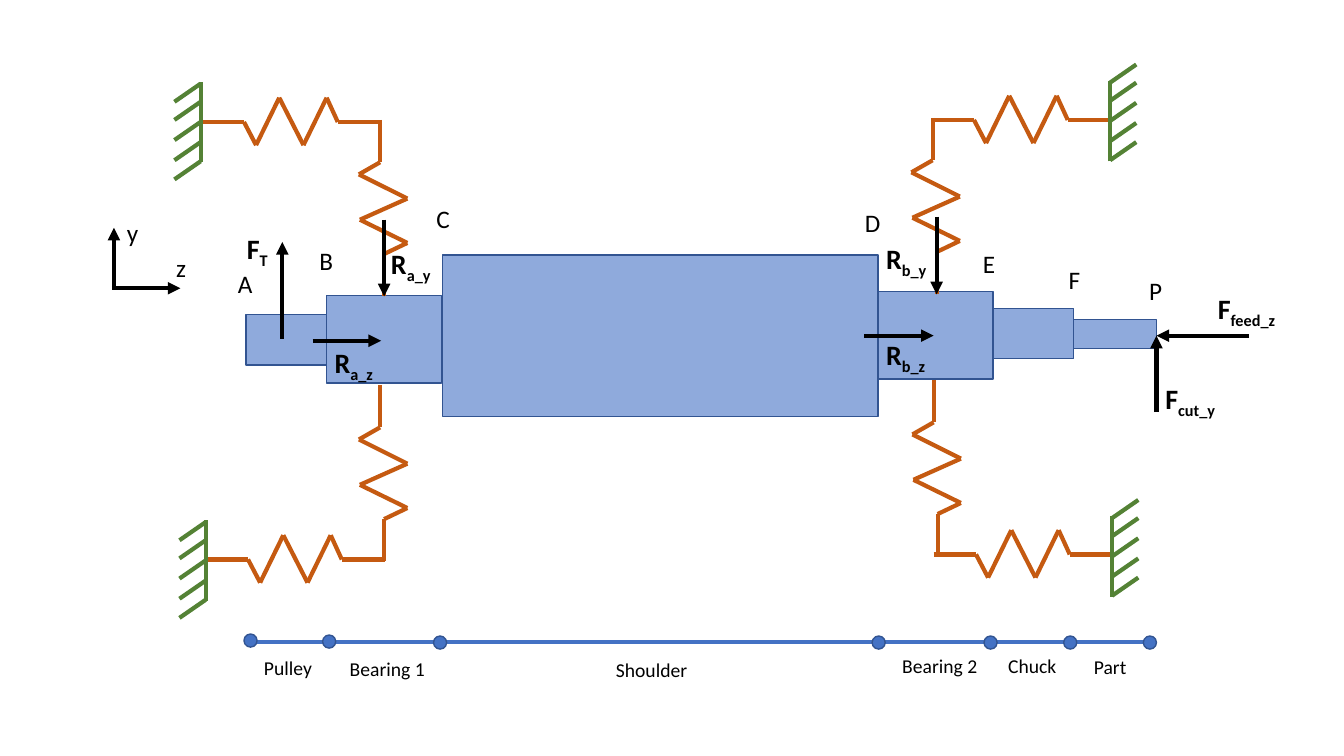
import dataclasses
import itertools

import pptx
import pptx.dml.color
import pptx.enum.shapes
import pptx.enum.text
import pptx.oxml.ns
import pptx.oxml.xmlchemy
import pptx.util


@dataclasses.dataclass(frozen=True)
class Theme:
    """Colours, font and sizes of the shaft diagram."""
    font: str = "Calibri"
    black: str = "000000"
    shaft: str = "8FAADC"
    edge: str = "325491"
    scale: str = "4472C4"
    spring: str = "C55A11"
    wall: str = "548235"
    point_size: int = 18
    section_size: int = 14
    force_size: int = 20
    thin: float = 1
    medium: float = 2.25
    thick: float = 3


THEME = Theme()
SHAPES = pptx.enum.shapes.MSO_SHAPE

SECTIONS = [
    (4.39, 2.53, 4.32, 1.6), (3.24, 2.93, 1.14, 0.87), (8.71, 2.89, 1.14, 0.87),
    (2.44, 3.12, 0.8, 0.5), (9.85, 3.06, 0.8, 0.5), (10.65, 3.17, 0.82, 0.29),
]
POINTS = [
    ("A", 2.26, 2.61, 0.35), ("B", 3.07, 2.38, 0.35), ("C", 4.23, 1.97, 0.35),
    ("D", 8.48, 2.01, 0.36), ("F", 10.5, 2.57, 0.32), ("E", 9.65, 2.41, 0.32),
    ("P", 11.3, 2.68, 0.33), ("y", 1.16, 2.11, 0.32), ("z", 1.65, 2.45, 0.3),
]
SCALE_DOTS = [(2.42, 6.29), (3.2, 6.3)] + [(x, 6.31) for x in (4.3, 8.65, 9.76, 10.55, 11.34)]
SECTION_NAMES = [
    ("Pulley", 2.52, 6.46, 0.74), ("Bearing 1", 3.37, 6.47, 1.03),
    ("Shoulder", 6.01, 6.48, 1.03), ("Bearing 2", 8.85, 6.44, 1.03),
    ("Chuck", 9.9, 6.44, 0.69), ("Part", 10.75, 6.45, 0.69),
]
FORCES = [
    ("R", "b_y", 8.69, 2.35), ("F", "T", 2.35, 2.25), ("R", "a_y", 3.78, 2.4),
    ("R", "a_z", 3.22, 3.38), ("R", "b_z", 8.69, 3.3), ("F", "feed_z", 11.98, 2.84),
    ("F", "cut_y", 11.46, 3.74),
]
ARROWS = [
    ((3.1, 3.38), (3.78, 3.38)), ((8.57, 3.33), (9.26, 3.33)),
    ((2.8, 3.36), (2.8, 2.4)), ((12.39, 3.33), (11.47, 3.33)),
    ((11.47, 4.09), (11.47, 3.33)), ((1.13, 2.86), (1.13, 2.26)),
    ((1.11, 2.86), (1.79, 2.86)), ((3.81, 2.18), (3.81, 2.94)),
    ((9.29, 2.15), (9.29, 2.92)),
]
RADIAL_COIL = [(0, 0), (0, 0.42), (-0.21, 0.54), (0.27, 0.78),
               (-0.2, 0.99), (0.27, 1.22), (0.04, 1.33), (0.04, 1.75)]
AXIAL_COIL = [(0, 0), (0.42, 0), (0.54, 0.23), (0.77, -0.24),
              (1.01, 0.23), (1.24, -0.24), (1.35, 0), (1.78, 0)]
RADIAL_SPRINGS = [(3.77, 1.19), (9.25, 1.17), (9.26, 3.77), (3.77, 3.82)]
AXIAL_SPRINGS = [(2, 1.21), (9.24, 1.19), (9.26, 5.5), (2.04, 5.55)]
WALLS = [(1.99, 0.81, -1), (11.01, 0.8, 1), (11.03, 5.12, 1), (2.04, 5.16, -1)]
HATCHES = (0.02, 0.2, 0.4, 0.6, 0.79)


def rgb(value):
    """Return a colour object for a hex value."""
    return pptx.dml.color.RGBColor.from_string(value)


def add_block(s, kind, box, fill):
    """Add a filled, outlined preset shape."""
    sp = s.shapes.add_shape(kind, *map(pptx.util.Inches, box))
    sp.shadow.inherit = False
    sp.fill.solid()
    sp.fill.fore_color.rgb = rgb(fill)
    sp.line.color.rgb = rgb(THEME.edge)
    sp.line.width = pptx.util.Pt(THEME.thin)


def add_line(s, start, end, colour, width=THEME.thick, arrow=False):
    """Add a straight line, with an arrowhead at its end if asked."""
    kind = pptx.enum.shapes.MSO_CONNECTOR.STRAIGHT
    sp = s.shapes.add_connector(kind, *map(pptx.util.Inches, (*start, *end)))
    sp.line.color.rgb = rgb(colour)
    sp.line.width = pptx.util.Pt(width)
    element = pptx.oxml.xmlchemy.OxmlElement
    properties = sp._element.spPr
    if arrow:
        head = element("a:tailEnd")
        head.set("type", "triangle")
        properties.find(pptx.oxml.ns.qn("a:ln")).append(head)
    properties.append(element("a:effectLst"))


def add_label(s, box, text, size, subscript="", wrap=True, bold=False):
    """Add a text label with an optional subscript."""
    tf = s.shapes.add_textbox(*map(pptx.util.Inches, box)).text_frame
    tf.word_wrap = wrap
    tf.auto_size = pptx.enum.text.MSO_AUTO_SIZE.SHAPE_TO_FIT_TEXT
    p = tf.paragraphs[0]
    formats = {"name": THEME.font, "size": pptx.util.Pt(size), "bold": bold}
    for part in filter(None, (text, subscript)):
        r = p.add_run()
        r.text = part
        for name, value in formats.items():
            setattr(r.font, name, value)
        r.font.color.rgb = rgb(THEME.black)
    if subscript:
        r._r.get_or_add_rPr().set("baseline", "-25000")


def add_spring(s, x, y, coil):
    """Add a zigzag spring whose coil starts at a point."""
    corners = [(x + dx, y + dy) for dx, dy in coil]
    for start, end in itertools.pairwise(corners):
        add_line(s, start, end, THEME.spring)


def add_wall(s, x, top, side):
    """Add a fixed wall hatched to the left (-1) or right (1)."""
    add_line(s, (x, top + 0.8), (x, top), THEME.wall)
    for offset in HATCHES:
        y = top + offset
        add_line(s, (x, y), (x + 0.26 * side, y - 0.18 * side), THEME.wall)


def main():
    """Build the slide and save it."""
    prs = pptx.Presentation()
    prs.slide_width = pptx.util.Inches(13.33)
    prs.slide_height = pptx.util.Inches(7.5)
    s = prs.slides.add_slide(prs.slide_layouts[6])
    for box in SECTIONS:
        add_block(s, SHAPES.RECTANGLE, box, THEME.shaft)
    for text, x, y, width in POINTS:
        add_label(s, (x, y, width, 0.4), text, THEME.point_size, wrap=False)
    add_line(s, (2.43, 6.37), (11.46, 6.37), THEME.scale, THEME.medium)
    for x, y in SCALE_DOTS:
        add_block(s, SHAPES.OVAL, (x, y, 0.13, 0.13), THEME.scale)
    for text, x, y, width in SECTION_NAMES:
        add_label(s, (x, y, width, 0.34), text, THEME.section_size)
    for text, subscript, x, y in FORCES:
        add_label(s, (x, y, 1.04, 0.44), text, THEME.force_size, subscript, bold=True)
    for x, y in RADIAL_SPRINGS:
        add_spring(s, x, y, RADIAL_COIL)
    for x, y in AXIAL_SPRINGS:
        add_spring(s, x, y, AXIAL_COIL)
    for x, top, side in WALLS:
        add_wall(s, x, top, side)
    for start, end in ARROWS:
        add_line(s, start, end, THEME.black, arrow=True)
    prs.save("out.pptx")


main()
